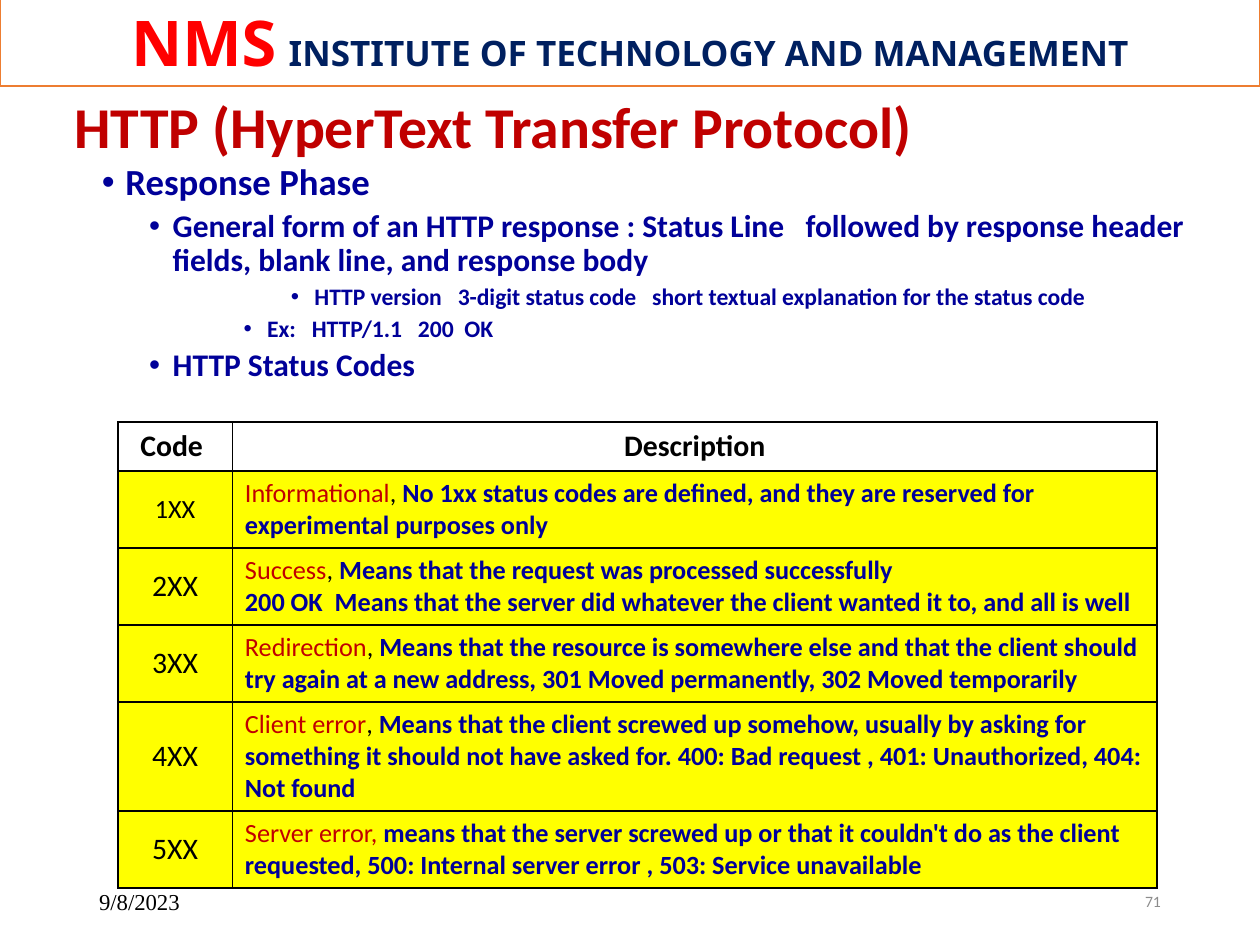
"""Build a slide on the HTTP response phase with a table of status codes."""

from typing import NamedTuple

from lxml import etree
from pptx import Presentation
from pptx.dml.color import RGBColor
from pptx.enum.shapes import MSO_SHAPE
from pptx.enum.text import MSO_ANCHOR, MSO_AUTO_SIZE, PP_ALIGN
from pptx.oxml.ns import qn
from pptx.util import Pt

LEFT, CENTER, RIGHT = PP_ALIGN.LEFT, PP_ALIGN.CENTER, PP_ALIGN.RIGHT
TOP, MIDDLE = MSO_ANCHOR.TOP, MSO_ANCHOR.MIDDLE
NO_AUTOFIT = MSO_AUTO_SIZE.NONE
RECTANGLE = MSO_SHAPE.RECTANGLE

WHITE = RGBColor(0xFF, 0xFF, 0xFF)
BLACK = RGBColor(0, 0, 0)
GRAY = RGBColor(0x8C, 0x8C, 0x8C)
ORANGE = RGBColor(0xED, 0x7D, 0x31)
RED = RGBColor(0xFF, 0, 0)
DARK_RED = RGBColor(0xC0, 0, 0)
NAVY = RGBColor(0, 0x20, 0x60)
BLUE = RGBColor(0, 0, 0x99)
YELLOW = RGBColor(0xFF, 0xFF, 0)


class Span(NamedTuple):
    text: str
    size: float
    color: RGBColor
    bold: bool = True
    font: str = "Calibri"


class Bullet(NamedTuple):
    text: str
    level: int
    size: float
    margin: float
    space_before: float = 3.8


class Status(NamedTuple):
    code: str
    meaning: str
    separator: str
    details: tuple[str, ...]
    height: float = 42.5
    code_size: float = 17


BANNER = [
    Span("NMS", 36, RED, font="Noto Sans"),
    Span(" ", 27, RED, font="Noto Sans"),
    Span("INSTITUTE OF TECHNOLOGY AND MANAGEMENT", 20, NAVY, font="Noto Sans"),
]
BULLETS = [
    Bullet("Response Phase", 0, 21, 13.5, 7.5),
    Bullet("General form of an HTTP response : Status Line   followed by response "
           "header fields, blank line, and response body", 1, 18, 40.5),
    Bullet("HTTP version   3-digit status code   short textual explanation for "
           "the status code", 4, 13.5, 121.5),
    Bullet("Ex:   HTTP/1.1   200  OK", 3, 13.5, 94.5),
    Bullet("HTTP Status Codes", 1, 18, 40.5),
]
STATUSES = [
    Status("1XX", "Informational", ", ",
           ("No 1xx status codes are defined, and they are reserved for "
            "experimental purposes only",), code_size=15),
    Status("2XX", "Success", ", ",
           ("Means that the request was processed successfully",
            "200 OK  Means that the server did whatever the client wanted it to, "
            "and all is well")),
    Status("3XX", "Redirection", ", ",
           ("Means that the resource is somewhere else and that the client should "
            "try again at a new address, 301 Moved permanently, 302 Moved "
            "temporarily",)),
    Status("4XX", "Client error", ", ",
           ("Means that the client screwed up somehow, usually by asking for "
            "something it should not have asked for. 400: Bad request , 401: "
            "Unauthorized, 404: Not found",), height=60.5),
    Status("5XX", "Server error, ", "",
           ("means that the server screwed up or that it couldn't do as the client "
            "requested, 500: Internal server error , 503: Service unavailable",)),
]


def place(shape, left: float, top: float, width: float, height: float) -> None:
    shape.left, shape.top = Pt(left), Pt(top)
    shape.width, shape.height = Pt(width), Pt(height)


def write_spans(para, spans: list[Span], align=LEFT) -> None:
    para.alignment = align
    for span in spans:
        run = para.add_run()
        run.text = span.text
        font = run.font
        font.name, font.size, font.bold = span.font, Pt(span.size), span.bold
        font.color.rgb = span.color


def set_frame(frame, anchor) -> None:
    frame.word_wrap = True
    frame.auto_size = NO_AUTOFIT
    frame.vertical_anchor = anchor


def add_banner(page) -> None:
    banner = page.shapes.add_shape(RECTANGLE, 0, Pt(-2), Pt(720), Pt(51))
    banner.shadow.inherit = False
    banner.fill.solid()
    banner.fill.fore_color.rgb = WHITE
    banner.line.color.rgb = ORANGE
    banner.line.width = Pt(1)
    set_frame(banner.text_frame, MIDDLE)
    para = banner.text_frame.paragraphs[0]
    para.space_after = Pt(2)
    write_spans(para, BANNER, CENTER)


def fill_title(title) -> None:
    place(title, 35.3, 52.5, 648, 90)
    set_frame(title.text_frame, TOP)
    para = title.text_frame.paragraphs[0]
    para.line_spacing = 0.9
    write_spans(para, [Span("HTTP (HyperText Transfer Protocol)", 33, DARK_RED)])


def fill_body(body) -> None:
    place(body, 51, 90, 652.5, 416)
    frame = body.text_frame
    set_frame(frame, TOP)
    frame.text = "\n".join(bullet.text for bullet in BULLETS)
    for para, bullet in zip(frame.paragraphs, BULLETS):
        para.level = bullet.level
        para.line_spacing = 0.9
        para.space_before = Pt(bullet.space_before)
        font = para.runs[0].font
        font.name, font.size, font.bold = "Calibri", Pt(bullet.size), True
        font.color.rgb = BLUE
        properties = para._p.get_or_add_pPr()
        properties.set("marL", str(Pt(bullet.margin)))
        properties.set("indent", str(Pt(-13.5)))
        etree.SubElement(properties, qn("a:buFont"), typeface="Arial")
        etree.SubElement(properties, qn("a:buChar"), char="•")


def style_cell(cell, fill: RGBColor | None, anchor) -> None:
    cell.vertical_anchor = anchor
    properties = cell._tc.get_or_add_tcPr()
    for side in ("a:lnL", "a:lnR", "a:lnT", "a:lnB"):
        line = etree.SubElement(properties, qn(side), w=str(Pt(1)))
        solid = etree.SubElement(line, qn("a:solidFill"))
        etree.SubElement(solid, qn("a:srgbClr"), val=str(BLACK))
    if fill is None:
        cell.fill.background()
    else:
        cell.fill.solid()
        cell.fill.fore_color.rgb = fill


def fill_status_row(code_cell, meaning_cell, status: Status) -> None:
    code = Span(status.code, status.code_size, BLACK, False)
    write_spans(code_cell.text_frame.paragraphs[0], [code], CENTER)
    first, *others = [Span(detail, 15, BLUE) for detail in status.details]
    spans = [Span(status.meaning, 15, DARK_RED, False)]
    if status.separator:
        spans.append(Span(status.separator, 15, BLACK, False))
    frame = meaning_cell.text_frame
    write_spans(frame.paragraphs[0], spans + [first])
    for span in others:
        write_spans(frame.add_paragraph(), [span])


def add_status_table(page) -> None:
    heights = [27.5] + [status.height for status in STATUSES]
    table = page.shapes.add_table(len(heights), 2, Pt(67.3), Pt(241.2),
                                  Pt(594), Pt(sum(heights))).table
    table.first_row = table.horz_banding = False
    table.columns[0].width, table.columns[1].width = Pt(65.5), Pt(528.5)
    for index, height in enumerate(heights):
        table.rows[index].height = Pt(height)
        for column, anchor in enumerate((MIDDLE, TOP)):
            style_cell(table.cell(index, column), YELLOW if index else None, anchor)
    for column, heading in enumerate(("Code ", "Description")):
        para = table.cell(0, column).text_frame.paragraphs[0]
        write_spans(para, [Span(heading, 17, BLACK)], CENTER)
    for index, status in enumerate(STATUSES, start=1):
        fill_status_row(table.cell(index, 0), table.cell(index, 1), status)


def add_footer(page, left: float, span: Span, align) -> None:
    box = page.shapes.add_textbox(Pt(left), Pt(500.5), Pt(162), Pt(28.8))
    set_frame(box.text_frame, MIDDLE)
    write_spans(box.text_frame.paragraphs[0], [span], align)


def main() -> None:
    deck = Presentation()
    deck.slide_width, deck.slide_height = Pt(720), Pt(540)
    page = deck.slides.add_slide(deck.slide_layouts[1])
    add_banner(page)
    fill_title(page.shapes.title)
    fill_body(page.placeholders[1])
    add_footer(page, 508.5, Span("71", 9, GRAY, False), RIGHT)
    add_status_table(page)
    add_footer(page, 49.5, Span("9/8/2023", 13, BLACK, False, "Times New Roman"), LEFT)
    deck.save("out.pptx")


if __name__ == "__main__":
    main()
